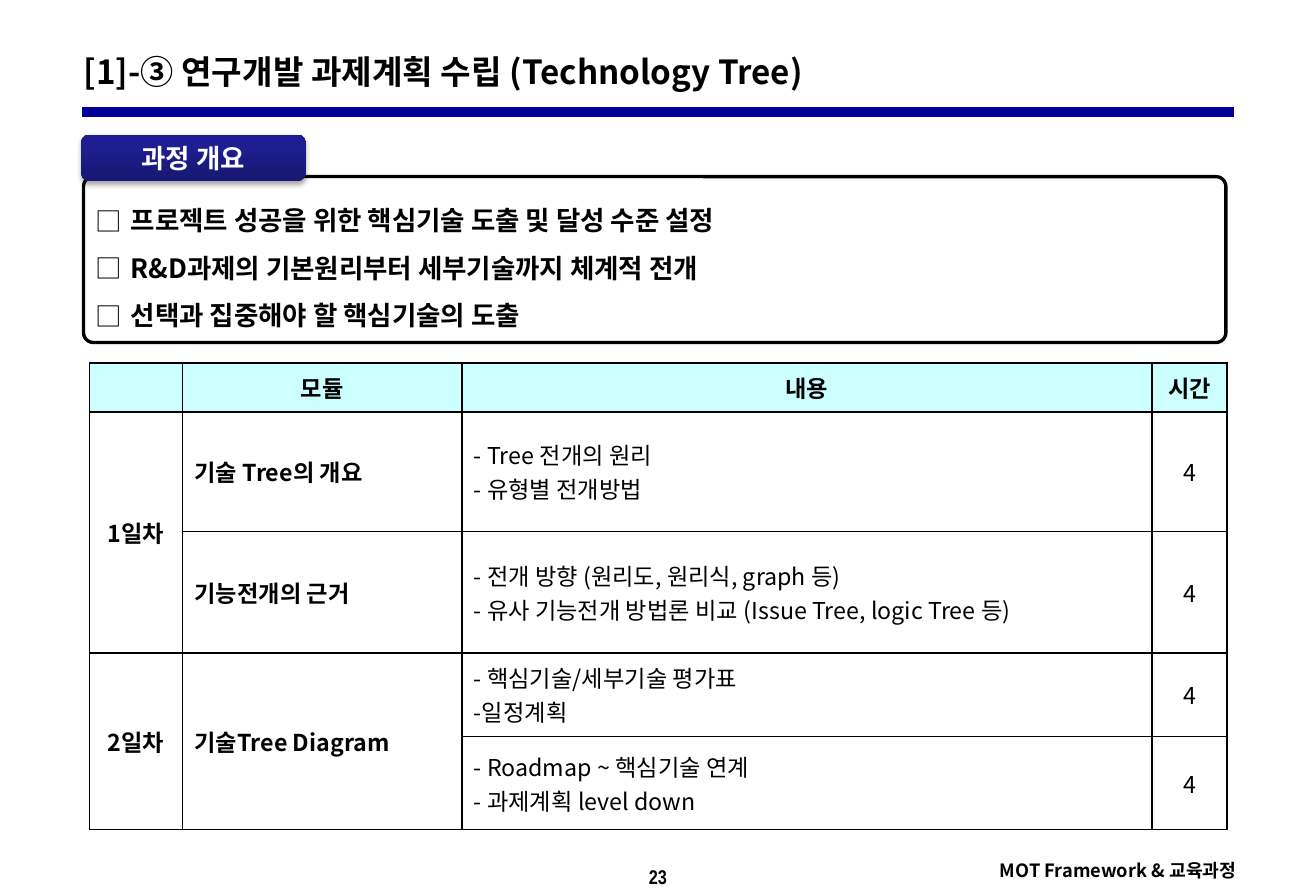
from dataclasses import dataclass

from lxml import etree
from pptx import Presentation
from pptx.dml.color import RGBColor
from pptx.enum.shapes import MSO_CONNECTOR, MSO_SHAPE
from pptx.enum.text import MSO_ANCHOR, MSO_AUTO_SIZE, PP_ALIGN
from pptx.oxml.ns import qn
from pptx.util import Pt

LEFT, CENTER, RIGHT = PP_ALIGN.LEFT, PP_ALIGN.CENTER, PP_ALIGN.RIGHT
MIDDLE = MSO_ANCHOR.MIDDLE
ROUNDED = MSO_SHAPE.ROUNDED_RECTANGLE
STRAIGHT = MSO_CONNECTOR.STRAIGHT
GROW, NO_FIT = MSO_AUTO_SIZE.SHAPE_TO_FIT_TEXT, MSO_AUTO_SIZE.NONE
KOREAN, NARROW = "Noto Sans CJK KR", "Arial Narrow"
COLORS = {
    "black": "000000", "white": "FFFFFF", "rule": "000099", "header": "CCFFFF",
    "tab_bottom": "171771", "tab_middle": "1E1E93", "tab_top": "1C1C96",
}
SLIDE_WIDTH, SLIDE_HEIGHT = 793.75, 540


@dataclass(frozen=True)
class Style:
    size: float
    font: str = KOREAN
    color: str = "black"
    bold: bool = True
    align: PP_ALIGN = LEFT
    spacing: float = 1.0


@dataclass(frozen=True)
class FooterText:
    text: str
    box: tuple[float, float, float, float]
    margins: tuple[float, float]
    wrap: bool
    style: Style


@dataclass(frozen=True)
class Session:
    day: str
    module: str
    contents: str
    hours: str
    height: float


FOOTER = (
    FooterText("23", (0, 512.64, SLIDE_WIDTH, 27.36), (7.2, 3.6), True,
               Style(12, font=NARROW, align=CENTER, spacing=1.4)),
    FooterText("MOT Framework & 교육과정", (595.44, 511.92, 150.48, 17.28), (0, 0), False,
               Style(11, align=RIGHT, spacing=1.5)),
)
GOALS = (
    "프로젝트 성공을 위한 핵심기술 도출 및 달성 수준 설정",
    "R&D과제의 기본원리부터 세부기술까지 체계적 전개",
    "선택과 집중해야 할 핵심기술의 도출",
)
COLUMN_WIDTHS = (56.16, 168.48, 416.16, 45.36)
TABLE_LEFT, TABLE_TOP = 54, 219
HEADER = Session("", "모듈", "내용", "시간", 29.52)
SESSIONS = (
    Session("1일차", "기술 Tree의 개요", "- Tree 전개의 원리\n- 유형별 전개방법", "4", 72),
    Session("", "기능전개의 근거",
            "- 전개 방향 (원리도, 원리식, graph 등)\n"
            "- 유사 기능전개 방법론 비교 (Issue Tree, logic Tree 등)", "4", 73.44),
    Session("2일차", "기술Tree Diagram", "- 핵심기술/세부기술 평가표\n일정계획", "4", 50.4),
    Session("", "", "- Roadmap ~ 핵심기술 연계\n- 과제계획 level down", "4", 56.16),
)
MERGES = (((1, 0), (2, 0)), ((3, 0), (4, 0)), ((3, 1), (4, 1)))
PLAN_CELL = (3, 2)


def rgb(name: str) -> RGBColor:
    return RGBColor.from_string(COLORS[name])


def write(frame, text: str, style: Style) -> None:
    frame.text = text
    for paragraph in frame.paragraphs:
        paragraph.alignment = style.align
        paragraph.line_spacing = style.spacing
        for run in paragraph.runs:
            run.font.size = Pt(style.size)
            run.font.bold = style.bold
            run.font.color.rgb = rgb(style.color)
            run.font.name = style.font
            east_asian = etree.SubElement(run.font._element, qn("a:ea"))
            east_asian.set("typeface", style.font)


def set_margins(frame, side: float, end: float) -> None:
    frame.margin_left = frame.margin_right = Pt(side)
    frame.margin_top = frame.margin_bottom = Pt(end)


def place(shape, box: tuple[float, float, float, float]) -> None:
    shape.left, shape.top, shape.width, shape.height = map(Pt, box)


def add_bullet(paragraph, mark: str, indent: float) -> None:
    properties = paragraph._p.get_or_add_pPr()
    properties.set("marL", str(Pt(indent)))
    properties.set("indent", str(-Pt(indent)))
    etree.SubElement(properties, qn("a:buFont")).set("typeface", KOREAN)
    etree.SubElement(properties, qn("a:buChar")).set("char", mark)


def add_title(slide) -> None:
    title = slide.shapes.title
    place(title, (43.2, 24.48, 696.96, 37.44))
    frame = title.text_frame
    frame.auto_size = NO_FIT
    frame.vertical_anchor = MIDDLE
    set_margins(frame, 7.2, 3.6)
    write(frame, "[1]-③ 연구개발 과제계획 수립 (Technology Tree)", Style(20))


def add_title_rule(slide) -> None:
    rule = slide.shapes.add_connector(STRAIGHT, Pt(49.68), Pt(67.68), Pt(744.48), Pt(67.68))
    rule.line.color.rgb = rgb("rule")
    rule.line.width = Pt(6)
    etree.SubElement(rule._element.spPr, qn("a:effectLst"))


def add_footer(slide, item: FooterText) -> None:
    footer = slide.shapes.add_textbox(*map(Pt, item.box))
    frame = footer.text_frame
    frame.word_wrap = item.wrap
    frame.auto_size = GROW
    set_margins(frame, *item.margins)
    write(frame, item.text, item.style)


def add_goals(slide) -> None:
    panel = slide.shapes.add_shape(ROUNDED, Pt(50.4), Pt(106.56), Pt(689.04), Pt(100.08))
    panel.adjustments[0] = 0.06
    panel.shadow.inherit = False
    panel.fill.solid()
    panel.fill.fore_color.rgb = rgb("white")
    panel.line.color.rgb = rgb("black")
    panel.line.width = Pt(2)
    frame = panel.text_frame
    frame.vertical_anchor = MIDDLE
    set_margins(frame, 5.76, 2.88)
    write(frame, "\n".join(GOALS), Style(16, spacing=1.5))
    for paragraph in frame.paragraphs:
        add_bullet(paragraph, "□", 21)


def add_overview_tab(slide) -> None:
    tab = slide.shapes.add_shape(ROUNDED, Pt(48.96), Pt(81.36), Pt(135.36), Pt(28.08))
    tab.adjustments[0] = 0.17
    tab.fill.gradient()
    tab.fill.gradient_angle = 90
    stops = tab._element.spPr.find(".//" + qn("a:gsLst"))
    stops.clear()
    for percent, name in ((0, "tab_bottom"), (80, "tab_middle"), (100, "tab_top")):
        stop = etree.SubElement(stops, qn("a:gs"), pos=str(percent * 1000))
        etree.SubElement(stop, qn("a:srgbClr"), val=COLORS[name])
    tab.line.fill.background()
    tab.shadow.inherit = False
    effects = tab._element.spPr.find(qn("a:effectLst"))
    shadow = etree.SubElement(
        effects, qn("a:outerShdw"), blurRad=str(Pt(3.1)), dist=str(Pt(1.8)),
        dir="5400000", rotWithShape="0")
    shade = etree.SubElement(shadow, qn("a:srgbClr"), val=COLORS["black"])
    etree.SubElement(shade, qn("a:alpha"), val="35000")
    tab.text_frame.vertical_anchor = MIDDLE
    write(tab.text_frame, "과정 개요", Style(16, color="white", align=CENTER))


def format_cell(cell, fill: str) -> None:
    """Draw the four borders, then the fill, and center the text vertically."""
    properties = cell._tc.get_or_add_tcPr()
    for side in ("a:lnL", "a:lnR", "a:lnT", "a:lnB"):
        border = etree.SubElement(properties, qn(side), w=str(Pt(1)))
        solid = etree.SubElement(border, qn("a:solidFill"))
        etree.SubElement(solid, qn("a:srgbClr"), val=COLORS["black"])
    cell.fill.solid()
    cell.fill.fore_color.rgb = rgb(fill)
    cell.vertical_anchor = MIDDLE


def add_timetable(slide) -> None:
    rows = (HEADER, *SESSIONS)
    table = slide.shapes.add_table(
        len(rows), len(COLUMN_WIDTHS), Pt(TABLE_LEFT), Pt(TABLE_TOP),
        Pt(sum(COLUMN_WIDTHS)), Pt(sum(row.height for row in rows))).table
    table.first_row = table.horz_banding = False
    for column, width in zip(table.columns, COLUMN_WIDTHS):
        column.width = Pt(width)
    for r, row in enumerate(rows):
        table.rows[r].height = Pt(row.height)
        is_header = row is HEADER
        for c, text in enumerate((row.day, row.module, row.contents, row.hours)):
            cell = table.cell(r, c)
            align = CENTER if is_header or c in (0, 3) else LEFT
            write(cell.text_frame, text, Style(14, bold=is_header or c < 2, align=align))
            format_cell(cell, "header" if is_header else "white")
    for first, last in MERGES:
        table.cell(*first).merge(table.cell(*last))
    add_bullet(table.cell(*PLAN_CELL).text_frame.paragraphs[1], "-", 0)


def main() -> None:
    presentation = Presentation()
    presentation.slide_width, presentation.slide_height = Pt(SLIDE_WIDTH), Pt(SLIDE_HEIGHT)
    slide = presentation.slides.add_slide(presentation.slide_layouts[5])
    add_title(slide)
    add_title_rule(slide)
    for item in FOOTER:
        add_footer(slide, item)
    add_goals(slide)
    add_timetable(slide)
    add_overview_tab(slide)
    presentation.save("out.pptx")


if __name__ == "__main__":
    main()
